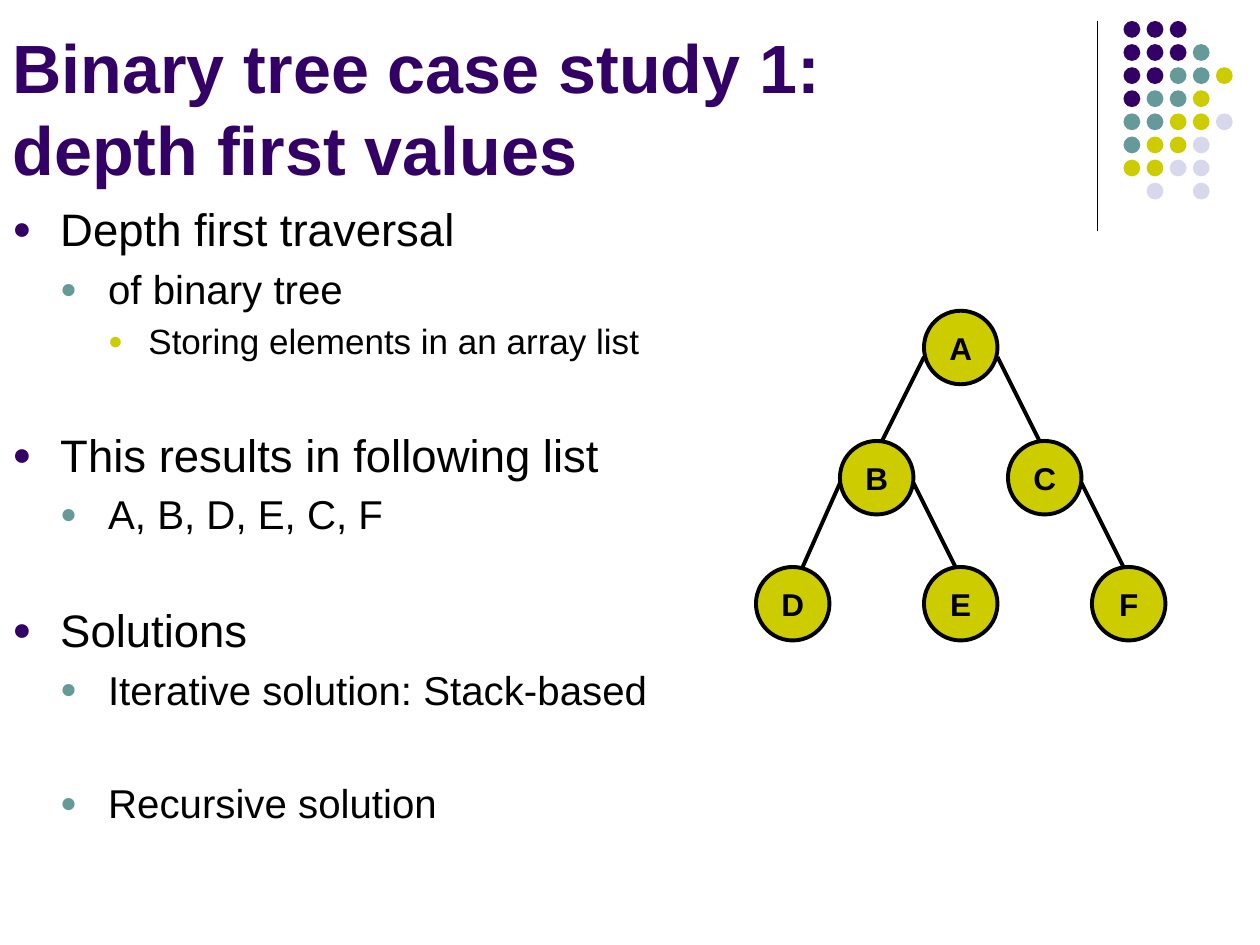
from math import ceil

from lxml.etree import SubElement
from pptx import Presentation
from pptx.dml.color import RGBColor
from pptx.enum.shapes import MSO_CONNECTOR, MSO_SHAPE
from pptx.enum.text import MSO_ANCHOR, MSO_AUTO_SIZE, PP_ALIGN
from pptx.oxml.ns import qn
from pptx.util import Inches, Pt

COLORS = {"purple": "330066", "teal": "669999", "olive": "CCCC00",
          "pale": "D8D8EC", "black": "000000"}
DOT_COLORS = {"p": "purple", "t": "teal", "o": "olive", "l": "pale"}
DOT_ROWS = ["ppp", "pppt", "pptto", "ptto", "ttool", "tool", "ooll", " l l"]
LEVELS = [
    {"size": 26, "left": 0.38, "hang": 0.38, "bullet": "purple"},
    {"size": 23, "left": 0.76, "hang": 0.38, "bullet": "teal"},
    {"size": 20, "left": 1.08, "hang": 0.32, "bullet": "olive"},
]
OUTLINE = [
    (0, 0, "Depth first traversal"),
    (1, 4.7, "of binary tree"),
    (2, 4, "Storing elements in an array list"),
    (0, 37.2, "This results in following list"),
    (1, 4.7, "A, B, D, E, C, F"),
    (0, 36.8, "Solutions"),
    (1, 4.7, "Iterative solution: Stack-based"),
    (1, 37.2, "Recursive solution"),
]
NODES = {"A": (88, 29.6), "B": (80, 42), "C": (96, 42),
         "D": (72, 54), "E": (88, 54), "F": (104, 54)}
EDGES = {"AB": 0, "AC": 0, "BD": 1, "BE": 0, "CF": 0}
NODE_SIZE = 7


class SlideBuilder:
    """Draws styled elements on a slide, measured on a grid of 120 by 90 cells."""

    def __init__(self, prs):
        self.cell = prs.slide_width / 120
        self.slide = prs.slides.add_slide(prs.slide_layouts[5])

    def grid(self, *cells):
        return [round(c * self.cell) for c in cells]

    def color(self, name):
        return RGBColor.from_string(COLORS[name])

    def style(self, font, size, color="black", bold=False):
        for key, value in {"name": "Arial", "size": Pt(size), "bold": bold}.items():
            setattr(font, key, value)
        font.color.rgb = self.color(color)

    def frame(self, tf, anchor):
        values = {"word_wrap": True, "auto_size": MSO_AUTO_SIZE.NONE,
                  "vertical_anchor": anchor,
                  "margin_left": Inches(0.1), "margin_right": Inches(0.1),
                  "margin_top": Inches(0.05), "margin_bottom": Inches(0.05)}
        for key, value in values.items():
            setattr(tf, key, value)

    def title(self, text, *box):
        sp = self.slide.shapes.title
        sp.left, sp.top, sp.width, sp.height = self.grid(*box)
        self.frame(sp.text_frame, MSO_ANCHOR.BOTTOM)
        sp.text_frame.text = text
        p = sp.text_frame.paragraphs[0]
        p.alignment = PP_ALIGN.LEFT
        for r in p.runs:
            self.style(r.font, 39, "purple", True)

    def bullet(self, p, level):
        pPr = p._p.get_or_add_pPr()
        pPr.set("marL", str(Inches(level["left"])))
        pPr.set("indent", str(-Inches(level["hang"])))
        bu_color = SubElement(pPr, qn("a:buClr"))
        SubElement(bu_color, qn("a:srgbClr"), val=COLORS[level["bullet"]])
        SubElement(pPr, qn("a:buSzPct"), val="70000")
        SubElement(pPr, qn("a:buFont"), typeface="Arial")
        SubElement(pPr, qn("a:buChar"), char="●")

    def outline(self, items, *box):
        tf = self.slide.shapes.add_textbox(*self.grid(*box)).text_frame
        self.frame(tf, MSO_ANCHOR.TOP)
        for i, (depth, before, text) in enumerate(items):
            p = tf.add_paragraph() if i else tf.paragraphs[0]
            p.level = depth
            self.bullet(p, LEVELS[depth])
            p.space_before = Pt(before)
            r = p.add_run()
            r.text = text
            self.style(r.font, LEVELS[depth]["size"])

    def line(self, x1, y1, x2, y2, width):
        s = self.slide.shapes.add_connector(
            MSO_CONNECTOR.STRAIGHT, *self.grid(x1, y1, x2, y2))
        s.line.color.rgb = self.color("black")
        s.line.width = Pt(width)
        SubElement(s._element.spPr, qn("a:effectLst"))

    def circle(self, x, y, size, fill):
        s = self.slide.shapes.add_shape(MSO_SHAPE.OVAL, *self.grid(x, y, size, size))
        s.shadow.inherit = False
        s.fill.solid()
        s.fill.fore_color.rgb = self.color(fill)
        s.line.fill.background()
        return s

    def node(self, label, x, y):
        s = self.circle(x, y, NODE_SIZE, "olive")
        s.line.color.rgb = self.color("black")
        s.line.width = Pt(2.25)
        tf = s.text_frame
        self.frame(tf, MSO_ANCHOR.MIDDLE)
        tf.word_wrap = False
        p = tf.paragraphs[0]
        p.alignment = PP_ALIGN.CENTER
        r = p.add_run()
        r.text = label
        self.style(r.font, 18, bold=True)

    def edge(self, parent, child, overlap):
        (px, py), (cx, cy) = NODES[parent], NODES[child]
        x, step = (px, -4) if cx < px else (px + NODE_SIZE, 4)
        self.line(x, ceil(py + 4), x + step, cy + overlap, 2.25)

    def dots(self, rows, x, y, pitch, size):
        for i, row in enumerate(rows):
            for j, key in enumerate(row):
                if key in DOT_COLORS:
                    self.circle(x + j * pitch, y + i * pitch, size, DOT_COLORS[key])


def main():
    prs = Presentation()
    prs.slide_width, prs.slide_height = Inches(10), Inches(7.5)
    s = SlideBuilder(prs)
    s.line(104.5, 2, 104.5, 22, 0.75)
    s.dots(DOT_ROWS, 107, 2, 2.2, 1.6)
    s.title("Binary tree case study 1: \vdepth first values", 0, 0, 105, 18.6)
    s.outline(OUTLINE, 0, 18.6, 120, 71.4)
    for (parent, child), overlap in EDGES.items():
        s.edge(parent, child, overlap)
    for label, place in NODES.items():
        s.node(label, *place)
    prs.save("out.pptx")


if __name__ == "__main__":
    main()
